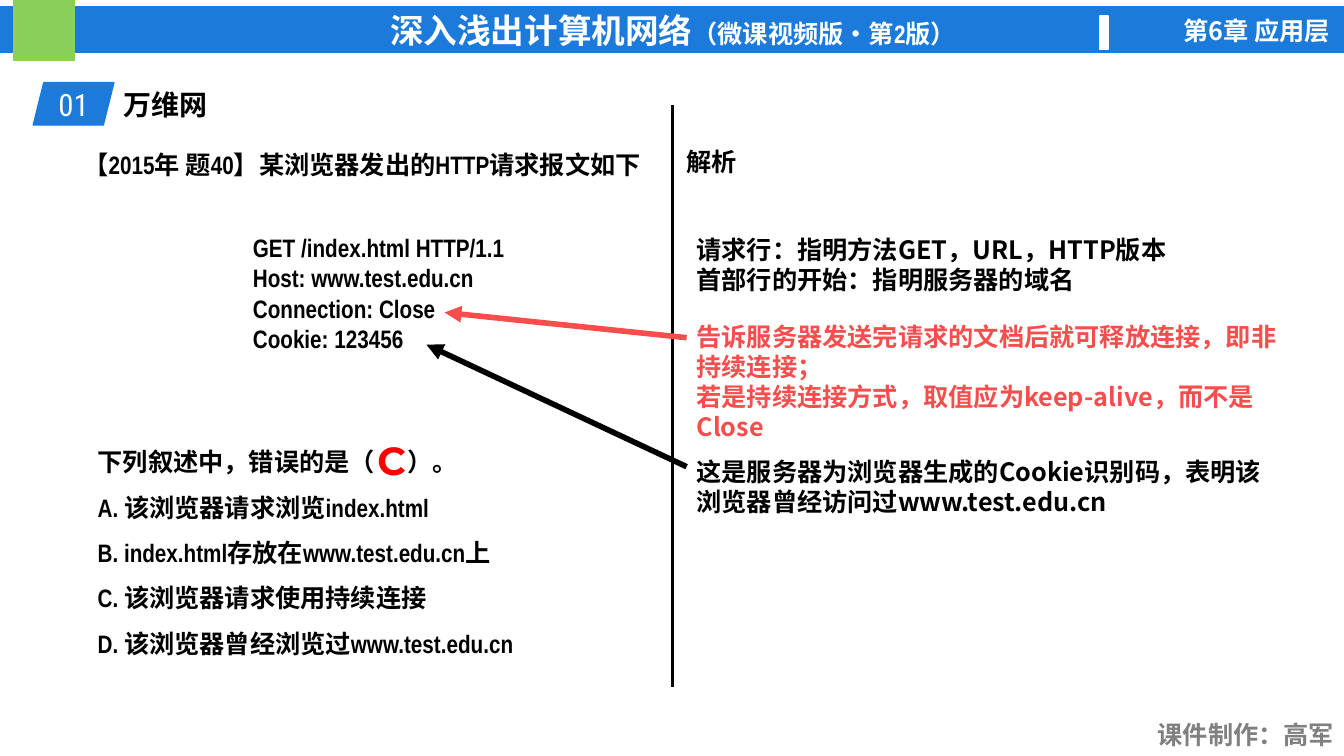
from dataclasses import dataclass

from lxml import etree
from pptx import Presentation
from pptx.dml.color import RGBColor
from pptx.enum.shapes import MSO_CONNECTOR, MSO_SHAPE
from pptx.enum.text import MSO_ANCHOR, PP_ALIGN
from pptx.oxml.ns import qn
from pptx.util import Inches, Pt


@dataclass(frozen=True)
class Theme:
    blue: str = "1B7ADA"
    green: str = "8ACF57"
    white: str = "FFFFFF"
    black: str = "000000"
    gray: str = "808080"
    coral: str = "F84D4D"
    red: str = "FF0000"
    narrow: str = "Arial Narrow"
    sans: str = "Noto Sans CJK SC"
    number: str = "Roboto Condensed"
    answer: str = "Montserrat"
    body: int = 18
    section: int = 20
    badge: int = 22
    title: int = 24
    mark: int = 28


class SlideBuilder:
    def __init__(self, slide, theme):
        self.s = slide
        self.t = theme

    def run(self, p, text, size=None, font=None, color=None, bold=True):
        r = p.add_run()
        r.text = text
        r.font.size = Pt(size or self.t.body)
        r.font.name = font or self.t.narrow
        r.font.bold = bold
        r.font.color.rgb = RGBColor.from_string(color or self.t.black)
        ea = etree.SubElement(r.font._element, qn("a:ea"))
        ea.set("typeface", self.t.sans)

    def shape(self, kind, box, color):
        sp = self.s.shapes.add_shape(kind, *map(Inches, box))
        sp.shadow.inherit = False
        sp.fill.solid()
        sp.fill.fore_color.rgb = RGBColor.from_string(color)
        sp.line.color.rgb = RGBColor.from_string(color)
        sp.line.width = Pt(1)
        tf = sp.text_frame
        tf.word_wrap = False
        tf.vertical_anchor = MSO_ANCHOR.MIDDLE
        tf.paragraphs[0].alignment = PP_ALIGN.CENTER
        return tf.paragraphs[0]

    def text(self, box, lines, align=PP_ALIGN.LEFT, anchor=MSO_ANCHOR.TOP,
             spacing=None, tab=None, **style):
        tf = self.s.shapes.add_textbox(*map(Inches, box)).text_frame
        tf.word_wrap = True
        tf.vertical_anchor = anchor
        for i, line in enumerate(lines):
            p = tf.add_paragraph() if i else tf.paragraphs[0]
            p.alignment = align
            if spacing:
                p.line_spacing = spacing
            if tab and "\t" in line:
                tabs = etree.SubElement(p._p.get_or_add_pPr(), qn("a:tabLst"))
                stop = etree.SubElement(tabs, qn("a:tab"))
                stop.set("pos", str(Inches(tab)))
                stop.set("algn", "l")
            self.run(p, line, **style)

    def line(self, start, end, color, width, arrow=False):
        cn = self.s.shapes.add_connector(
            MSO_CONNECTOR.STRAIGHT, *map(Inches, start + end))
        cn.line.color.rgb = RGBColor.from_string(color)
        cn.line.width = Pt(width)
        if arrow:
            ln = cn.line._get_or_add_ln()
            etree.SubElement(ln, qn("a:tailEnd")).set("type", "triangle")
        etree.SubElement(cn._element.spPr, qn("a:effectLst"))


def main():
    prs = Presentation()
    prs.slide_width, prs.slide_height = Inches(13.33), Inches(7.5)
    t = Theme()
    b = SlideBuilder(prs.slides.add_slide(prs.slide_layouts[6]), t)
    middle = MSO_ANCHOR.MIDDLE

    # Header band and footer
    p = b.shape(MSO_SHAPE.RECTANGLE, (0, 0.07, 13.35, 0.45), t.blue)
    b.run(p, "深入浅出计算机网络", size=t.title, color=t.white)
    b.run(p, "（微课视频版•第2版）", color=t.white)
    b.shape(MSO_SHAPE.RECTANGLE, (0.14, 0, 0.6, 0.6), t.green)
    b.shape(MSO_SHAPE.RECTANGLE, (10.91, 0.16, 0.08, 0.33), t.white)
    b.text((11.11, 0.1, 2.18, 0.4), ["第6章 应用层"], PP_ALIGN.RIGHT,
           font=t.sans, color=t.white)
    b.text((11.34, 7.09, 1.99, 0.4), ["课件制作：高军"], PP_ALIGN.RIGHT,
           color=t.gray)

    # Section heading
    p = b.shape(MSO_SHAPE.PARALLELOGRAM, (0.33, 0.82, 0.8, 0.42), t.blue)
    b.run(p, "01", size=t.badge, font=t.number, color=t.white, bold=False)
    b.text((1.13, 0.82, 6.19, 0.44), ["万维网"], size=t.section)

    # Divider between question and analysis
    b.line((6.67, 1.04), (6.67, 6.82), t.black, 2)

    # Analysis with arrows to the header lines
    b.text((6.71, 1.4, 0.8, 0.4), ["解析"])
    b.text((6.81, 2.24, 5.5, 0.76),
           ["请求行：指明方法GET，URL，HTTP版本",
            "首部行的开始：指明服务器的域名"], anchor=middle, font=t.sans)
    b.text((6.81, 3.17, 5.99, 1.23),
           ["告诉服务器发送完请求的文档后就可释放连接，即非持续连接；",
            "若是持续连接方式，取值应为keep-alive，而不是Close"],
           anchor=middle, font=t.sans, color=t.coral)
    b.line((6.81, 3.35), (4.41, 3.1), t.coral, 4, arrow=True)
    b.text((6.81, 4.45, 5.99, 0.75),
           ["这是服务器为浏览器生成的Cookie识别码，"
            "表明该浏览器曾经访问过www.test.edu.cn"],
           anchor=middle, font=t.sans)
    b.line((6.81, 4.63), (4.23, 3.42), t.black, 4, arrow=True)

    # Question, request message and options
    b.text((0.73, 1.4, 5.79, 0.47),
           ["【2015年 题40】某浏览器发出的HTTP请求报文如下"], anchor=middle)
    b.text((2.41, 2.15, 3.02, 1.51),
           ["GET /index.html HTTP/1.1", "Host: www.test.edu.cn",
            "Connection: Close", "Cookie: 123456"], anchor=middle)
    b.text((0.87, 4.28, 4.95, 2.25),
           ["下列叙述中，错误的是（\t）。",
            "A. 该浏览器请求浏览index.html",
            "B. index.html存放在www.test.edu.cn上",
            "C. 该浏览器请求使用持续连接",
            "D. 该浏览器曾经浏览过www.test.edu.cn"],
           anchor=middle, spacing=1.5, tab=3.07)
    b.text((3.4, 4.28, 0.97, 0.57), ["C"], PP_ALIGN.CENTER,
           size=t.mark, font=t.answer, color=t.red)

    prs.save("out.pptx")


if __name__ == "__main__":
    main()
